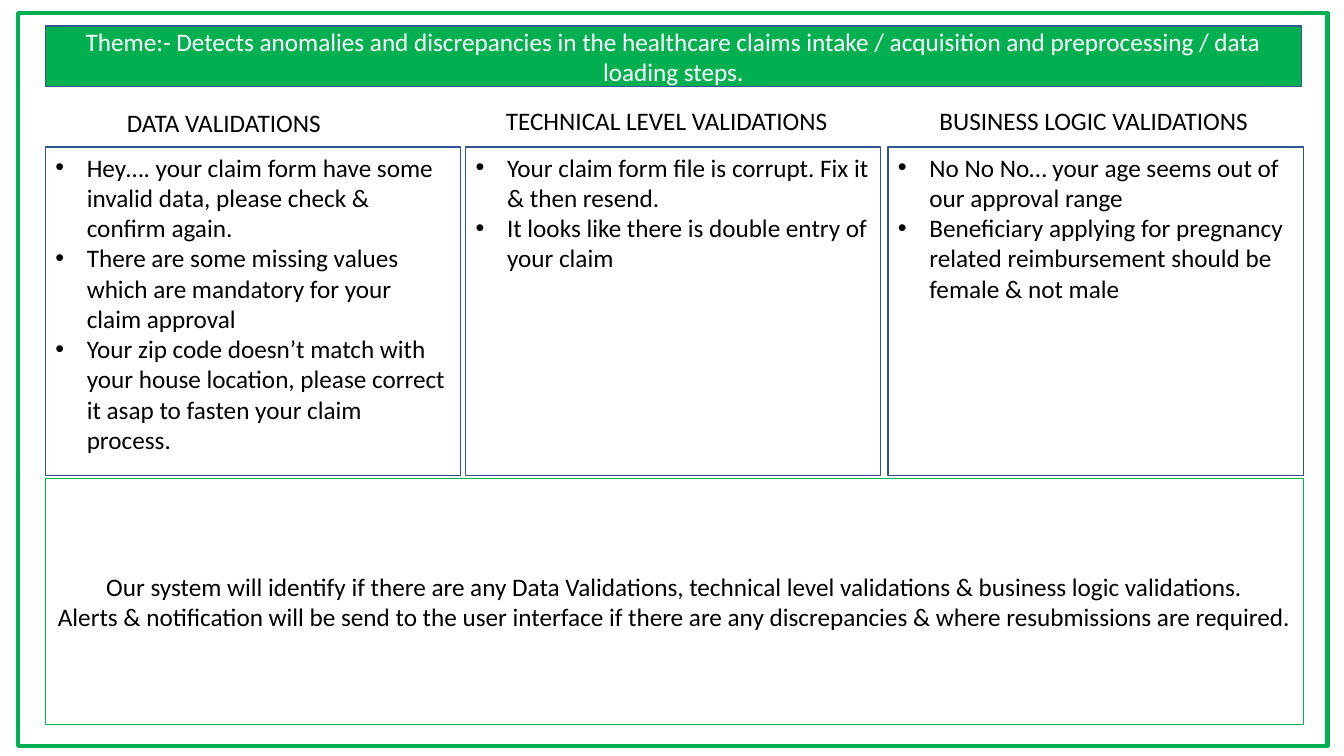
import pptx
import pptx.dml.color
import pptx.enum.shapes
import pptx.enum.text
import pptx.oxml.xmlchemy
import pptx.util
import lxml.etree

Pt = pptx.util.Pt
ALIGN = pptx.enum.text.PP_ALIGN
ANCHOR = pptx.enum.text.MSO_ANCHOR

GREEN, BLUE, WHITE, BLACK = "00B050", "325491", "FFFFFF", "000000"

# Heading, heading left, top and width, panel left, bullet points
COLUMNS = [
    ("DATA VALIDATIONS", 83.5, 73.4, 170, 32.4, [
        "Hey…. your claim form have some invalid data, please check & confirm again.",
        "There are some missing values which are mandatory for your claim approval",
        "Your zip code doesn’t match with your house location, please correct it asap "
        "to fasten your claim process.",
    ]),
    ("TECHNICAL LEVEL VALIDATIONS", 354.2, 71.5, 254, 332.6, [
        "Your claim form file is corrupt. Fix it & then resend.",
        "It looks like there is double entry of your claim",
    ]),
    ("BUSINESS LOGIC VALIDATIONS", 664, 71.5, 236, 634.3, [
        "No No No… your age seems out of our approval range",
        "Beneficiary applying for pregnancy related reimbursement should be "
        "female & not male",
    ]),
]


def color(value):
    return pptx.dml.color.RGBColor.from_string(value)


def write(frame, lines, ink=BLACK, align=ALIGN.LEFT, anchor=ANCHOR.TOP,
          indent=0, font="Calibri", size=18):
    """Fill a text frame with one paragraph per line; an indent adds bullets."""
    frame.word_wrap = True
    frame.vertical_anchor = anchor
    for number, line in enumerate(lines):
        para = frame.add_paragraph() if number else frame.paragraphs[0]
        para.alignment = align
        span = para.add_run()
        span.text = line
        span.font.name = font
        span.font.size = Pt(size)
        span.font.color.rgb = color(ink)
        if indent:
            properties = para._p.get_or_add_pPr()
            properties.set("marL", str(Pt(indent)))
            properties.set("indent", str(-Pt(indent)))
            for tag, key, value in (("a:buFont", "typeface", "Arial"),
                                    ("a:buChar", "char", "•")):
                name = pptx.oxml.ns.qn(tag)
                lxml.etree.SubElement(properties, name).set(key, value)


class Page:
    """Holds the current slide and draws its elements, in points."""

    def __init__(self, deck):
        self.slide = deck.slides.add_slide(deck.slide_layouts[6])

    def box(self, left, top, width, height, line, weight=1, fill=None, lines=(), **style):
        shape = self.slide.shapes.add_shape(
            pptx.enum.shapes.MSO_SHAPE.RECTANGLE,
            Pt(left), Pt(top), Pt(width), Pt(height))
        shape.shadow.inherit = False
        shape.line.color.rgb = color(line)
        shape.line.width = Pt(weight)
        if fill:
            shape.fill.solid()
            shape.fill.fore_color.rgb = color(fill)
        else:
            shape.fill.background()
        write(shape.text_frame, lines, **style)

    def heading(self, left, top, width, text):
        label = self.slide.shapes.add_textbox(Pt(left), Pt(top), Pt(width), Pt(29))
        write(label.text_frame, [text])


def main():
    deck = pptx.Presentation()
    deck.slide_width, deck.slide_height = Pt(960), Pt(540)
    page = Page(deck)
    centred = {"align": ALIGN.CENTER, "anchor": ANCHOR.MIDDLE}

    # Frame and theme banner
    page.box(13, 9.4, 935.3, 523.4, GREEN, weight=3)
    page.box(32.4, 18.7, 897.1, 43.2, BLUE, fill=GREEN, ink=WHITE, lines=[
        "Theme:- Detects anomalies and discrepancies in the healthcare claims intake / "
        "acquisition and preprocessing / data loading steps."], **centred)

    # Validation columns
    for title, title_left, title_top, title_width, left, points in COLUMNS:
        page.heading(title_left, title_top, title_width, title)
        page.box(left, 105.1, 296.6, 234.7, BLUE, fill=WHITE, lines=points, indent=22.5)

    # Summary
    page.box(32.4, 342, 898.6, 175.7, GREEN, fill=WHITE, lines=[
        "Our system will identify if there are any Data Validations, technical level "
        "validations & business logic validations.",
        "Alerts & notification will be send to the user interface if there are any "
        "discrepancies & where resubmissions are required."], **centred)

    deck.save("out.pptx")


if __name__ == "__main__":
    main()
